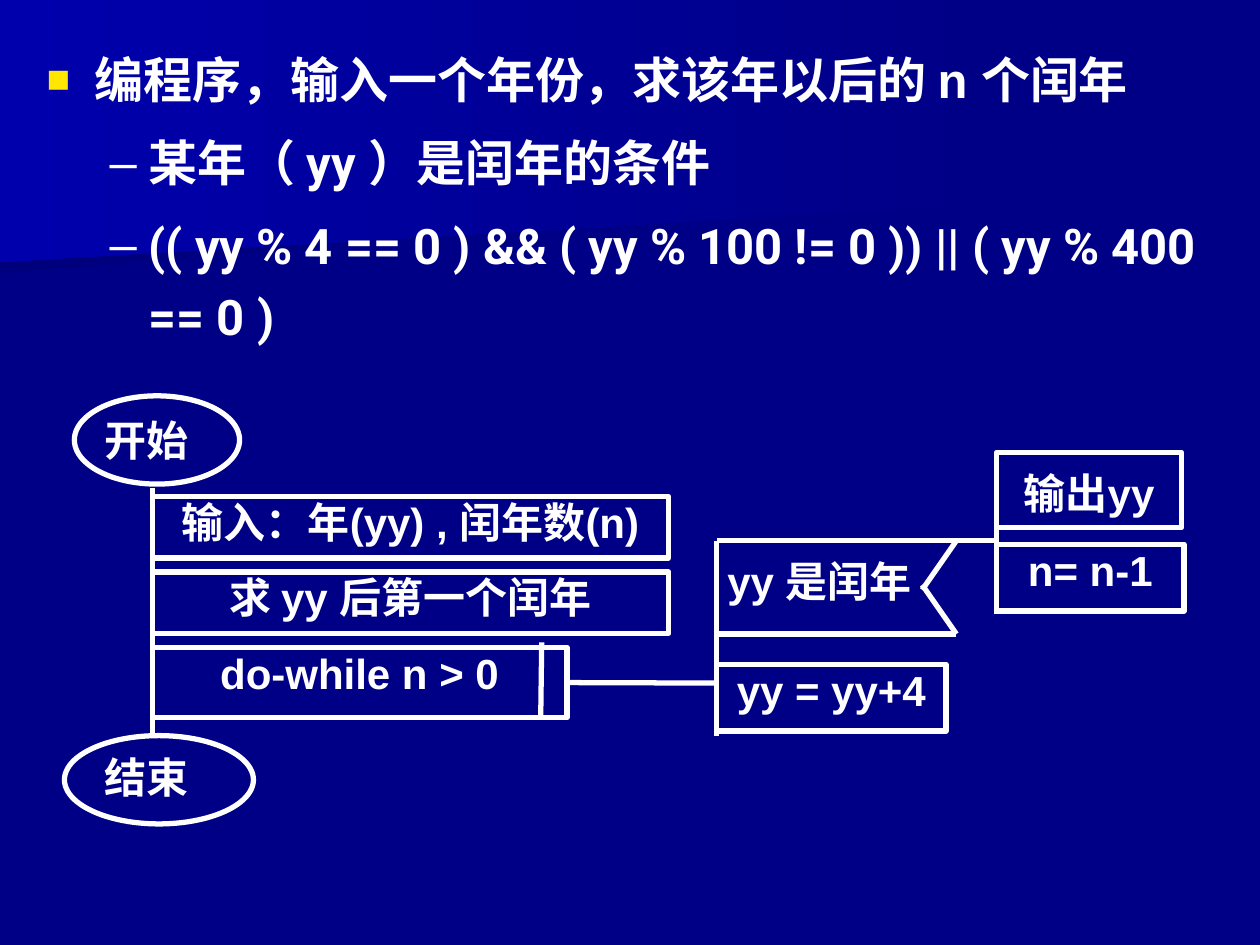
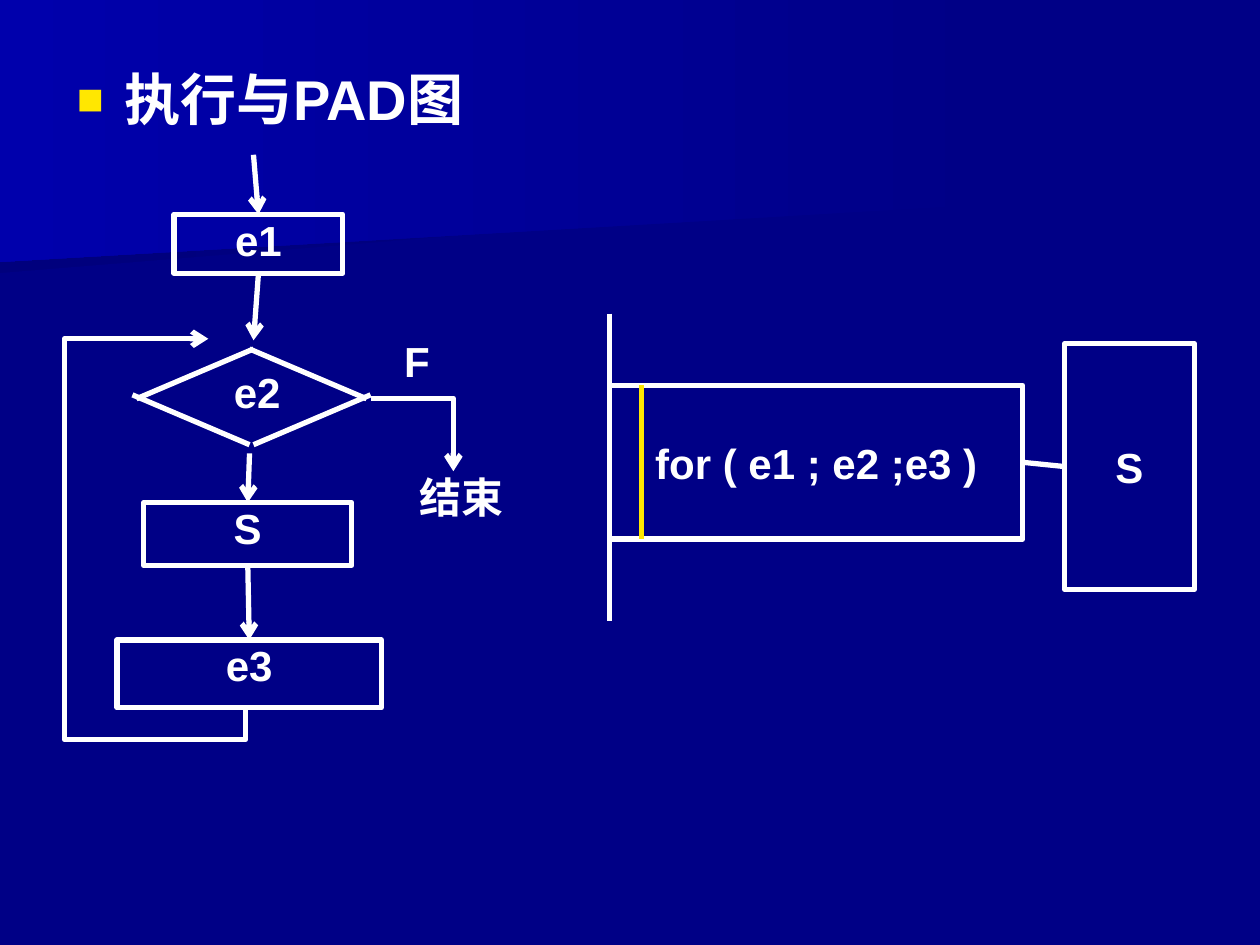
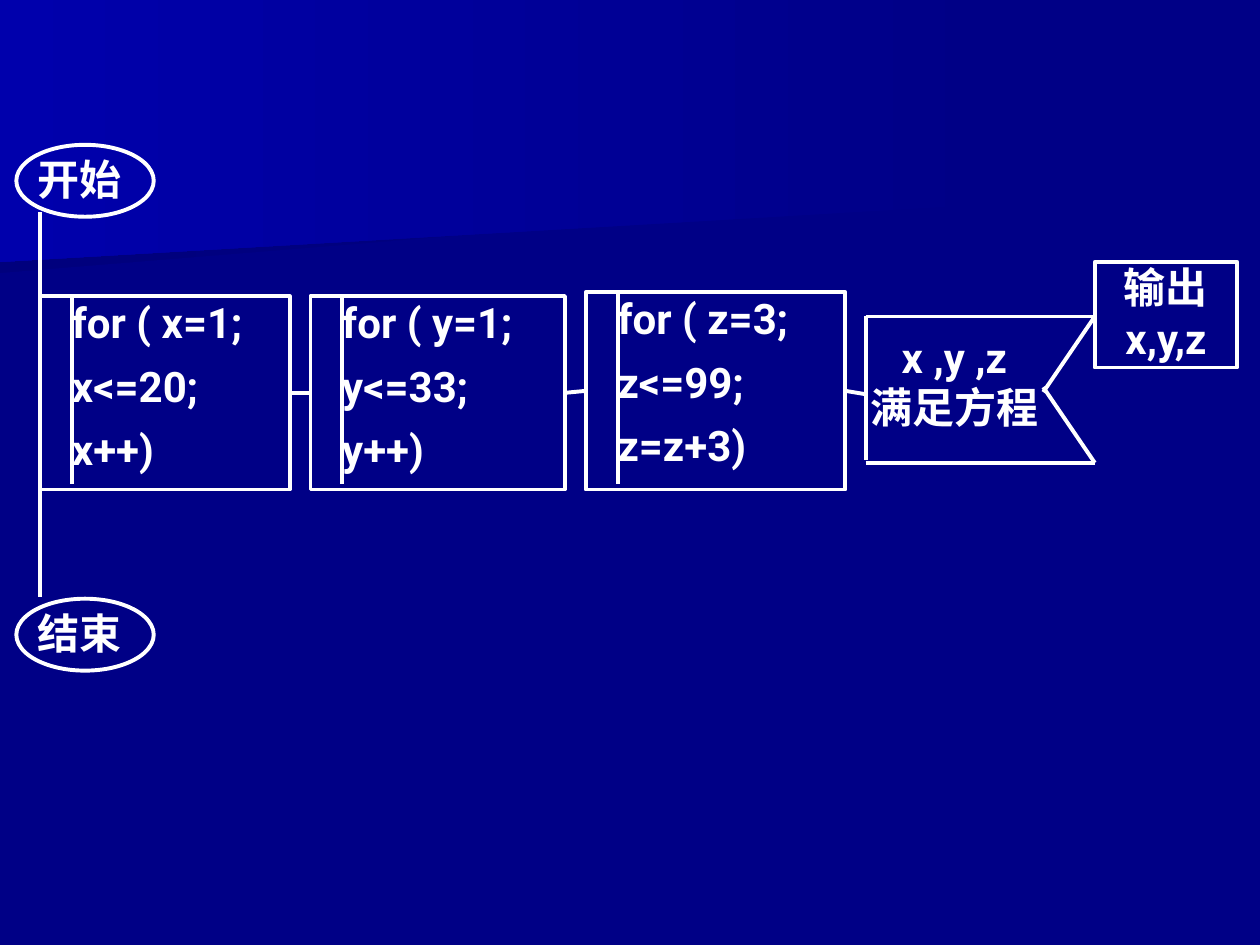
from lxml.etree import SubElement
from pptx import Presentation
from pptx.dml.color import RGBColor
from pptx.enum.shapes import MSO_CONNECTOR, MSO_SHAPE
from pptx.enum.text import MSO_ANCHOR, PP_ALIGN
from pptx.oxml.ns import qn
from pptx.util import Cm, Pt

HUE = {"back": "000086", "dark": "00007D", "glow": "0000AC",
       "white": "FFFFFF", "gold": "FFE701"}
LEFT, MID = PP_ALIGN.LEFT, MSO_ANCHOR.MIDDLE


def rgb(name):
    return RGBColor.from_string(HUE[name])


# Text
def bullet(par, sign, tone, size, left, hang):
    props = par._p.get_or_add_pPr()
    props.set("marL", str(Cm(left)))
    props.set("indent", str(-Cm(hang)))
    SubElement(SubElement(props, qn("a:buClr")), qn("a:srgbClr"), val=HUE[tone])
    SubElement(props, qn("a:buSzPct"), val=str(size * 1000))
    SubElement(props, qn("a:buFont"), typeface="Arial")
    SubElement(props, qn("a:buChar"), char=sign)


def write(shape, text, size=24, face="Arial", align=PP_ALIGN.CENTER,
          anchor=MSO_ANCHOR.TOP, pad=(0, 0, 0, 0), gap=0, lead=None,
          marks=None, faces=None):
    frame = shape.text_frame
    frame.word_wrap = True
    frame.vertical_anchor = anchor
    (frame.margin_left, frame.margin_top,
     frame.margin_right, frame.margin_bottom) = map(Cm, pad)
    for i, line in enumerate(text.split("\n")):
        par = frame.paragraphs[0] if i == 0 else frame.add_paragraph()
        par.alignment = align
        if lead:
            par.line_spacing = lead
        if i and gap:
            par.space_before = Pt(gap)
        if marks:
            bullet(par, *marks[i])
        run = par.add_run()
        run.text = line
        font = run.font
        font.size, font.bold = Pt(size), True
        font.name = faces[i] if faces else face
        font.color.rgb = rgb("white")


def label(s, text, x, y, w, h, **form):
    shape = s.shapes.add_textbox(Cm(x), Cm(y), Cm(w), Cm(h))
    write(shape, text, **form)


# Outlines and lines
def ink(line, width, tone="white", arrow=False):
    line.color.rgb = rgb(tone)
    line.width = Pt(width)
    if arrow:
        SubElement(line._get_or_add_ln(), qn("a:tailEnd"), type="arrow")


def box(s, text, x, y, w, h, width=3, kind=MSO_SHAPE.RECTANGLE, **form):
    shape = s.shapes.add_shape(kind, Cm(x), Cm(y), Cm(w), Cm(h))
    shape.shadow.inherit = False
    shape.fill.background()
    ink(shape.line, width)
    if text:
        write(shape, text, **form)
    return shape


def wire(s, x1, y1, x2, y2, width=3, tone="white", arrow=False,
         begin=None, end=None):
    link = s.shapes.add_connector(MSO_CONNECTOR.STRAIGHT,
                                  Cm(x1), Cm(y1), Cm(x2), Cm(y2))
    ink(link.line, width, tone, arrow)
    SubElement(link.element.spPr, qn("a:effectLst"))
    if begin:
        link.begin_connect(*begin)
    if end:
        link.end_connect(*end)


def trace(s, points, close=False):
    spots = [(Cm(x), Cm(y)) for x, y in points]
    maker = s.shapes.build_freeform(*spots[0])
    maker.add_line_segments(spots[1:], close=close)
    shape = maker.convert_to_shape()
    shape.shadow.inherit = False
    return shape


def route(s, points):
    shape = trace(s, points)
    shape.fill.background()
    ink(shape.line, 3, arrow=True)


# Shared backdrop, kept on the master
def backdrop(deck, s):
    master = deck.slide_master
    fill = master.background.fill
    fill.solid()
    fill.fore_color.rgb = rgb("back")
    bands = (
        ("dark", [(19.76, 3.89), (0, 5.5), (0, 2.57), (19.79, 2.57)]),
        ("glow", [(20.12, 4.11), (0, 5.28), (0, 0), (20.12, 0)]),
    )
    for tone, points in bands:
        band = trace(s, points, close=True)
        band.line.fill.background()
        band.fill.gradient()
        band.fill.gradient_angle = 180
        for stop, name in zip(band.fill.gradient_stops, ("back", tone)):
            stop.color.rgb = rgb(name)
        master.shapes.element.append(band.element)


# Parts used on more than one slide
def body(s, text, x, y, w, h, **form):
    first = ("■", "gold", 80, 0.97, 0.97)
    rest = ("–", "white", 100, 2.06, 0.79)
    marks = [first] + [rest] * text.count("\n")
    label(s, text, x, y, w, h, align=LEFT, pad=(0.25, 0.13, 0.25, 0.13),
          marks=marks, **form)


def cap(s, text, x, y, w, h, dx, dy, width=3, **form):
    box(s, None, x, y, w, h, width, MSO_SHAPE.OVAL)
    label(s, text, x + dx, y + dy, 2, 1, align=LEFT, **form)


def flag(s, text, x, y, w, h, notch, reach, stem, width=3, **form):
    tip, mid, slip = x + w - notch, y + h / 2, 0.05
    wire(s, x, y, x, y + stem, width)
    wire(s, x, y, x + reach, y, width)
    wire(s, x, y + h, x + w, y + h, width)
    wire(s, x + w, y, tip, mid + slip, width)
    wire(s, x + w, y + h, tip, mid - slip, width)
    label(s, text, x, y + 0.3, w - notch, h - 0.6, **form)


# Slide 1: leap years
def trunk(s, x, y):
    cap(s, "开始", x - 1.57, y, 3.33, 1.78, 0.61, 0.38)
    cap(s, "结束", x - 1.77, y + 6.85, 3.81, 1.78, 0.81, 0.33)
    wire(s, x, y + 1.85, x, y + 6.85)
    steps = (("输入：年(yy) , 闰年数(n)", 10.41, 1.24),
             ("求 yy 后第一个闰年", 10.41, 1.24),
             ("do-while n > 0", 8.36, 1.42))
    for i, (text, w, h) in enumerate(steps):
        last = box(s, text, x, y + 2.03 + 1.52 * i, w, h)
    wire(s, x + 7.85, y + 4.97, x + 7.83, y + 6.5)
    wire(s, x + 8.36, y + 5.78, x + 11.38, y + 5.79, begin=(last, 3))


def branch(s, x, y):
    flag(s, "yy 是闰年", x, y, 4.83, 1.88, 0.69, 5.67, 3.94)
    box(s, "yy = yy+4", x, y + 2.49, 4.62, 1.35)
    out = x + 5.64
    wire(s, out, y - 1.73, out, y + 1.47)
    box(s, "输出yy", out, y - 1.78, 3.73, 1.52, pad=(0, 0.3, 0, 0))
    box(s, "n= n-1", out, y + 0.07, 3.78, 1.35)


def leap(s):
    body(s, "编程序，输入一个年份，求该年以后的 n 个闰年\n"
            "某年（ yy ）是闰年的条件\n"
            "(( yy % 4 == 0 ) && ( yy % 100 != 0 )) || ( yy % 400 == 0 )",
         0.69, 0.64, 24.13, 12.5, size=28, gap=7, lead=1.2,
         faces=("Arial", "Roboto", "Roboto"))
    trunk(s, 3.07, 7.98)
    branch(s, 14.45, 10.9)


# Slide 2: the for loop
def rhomb(s, text, x, y, w, h):
    slip = 0.04
    for sx in (-1, 1):
        for sy in (-1, 1):
            wire(s, x + sx * sy * slip, y + sy * h / 2,
                 x + sx * (w / 2 + sy * slip), y - sy * slip)
    label(s, text, x - 1.03, y - 0.61, 2.29, 1.19)


def flow(s, x, y):
    init = box(s, "e1", x + 2.21, y + 1.2, 3.4, 1.19)
    rhomb(s, "e2", x + 3.77, y + 4.88, 4.72, 1.93)
    work = box(s, "S", x + 1.6, y + 7.01, 4.19, 1.27)
    step = box(s, "e3", x + 1.06, y + 9.78, 5.33, 1.37)
    wire(s, x + 3.81, y, x + 3.91, y + 1.2, arrow=True, end=(init, 0))
    wire(s, x + 3.91, y + 2.39, x + 3.81, y + 3.74, arrow=True,
         begin=(init, 2))
    wire(s, x + 3.73, y + 6.02, x + 3.7, y + 7.01, arrow=True, end=(work, 0))
    wire(s, x + 3.7, y + 8.28, x + 3.73, y + 9.78, arrow=True,
         begin=(work, 2), end=(step, 0))
    route(s, [(x + 3.65, y + 11.15), (x + 3.65, y + 11.79), (x, y + 11.79),
              (x, y + 3.71), (x + 2.9, y + 3.71)])
    route(s, [(x + 6.17, y + 4.91), (x + 7.84, y + 4.91),
              (x + 7.84, y + 6.38)])
    label(s, "F", x + 6.85, y + 3.64, 1.14, 1.12, align=LEFT)
    label(s, "结束", x + 7.01, y + 6.38, 1.98, 1.65)


def pad(s, x, y):
    loop = box(s, "for ( e1 ; e2 ;e3 )", x, y + 1.45, 8.33, 3.1, anchor=MID)
    wire(s, x + 0.64, y + 1.45, x + 0.64, y + 4.55, tone="gold")
    wire(s, x, y, x, y + 6.2)
    work = box(s, "S", x + 9.17, y + 0.61, 2.62, 4.95, anchor=MID)
    wire(s, x + 8.33, y + 3, x + 9.17, y + 3, begin=(loop, 3), end=(work, 1))


def cycle(s):
    body(s, "执行与PAD图", 1.3, 1.32, 22.86, 1.6, size=32, lead=0.9)
    flow(s, 1.3, 3.12)
    pad(s, 12.29, 6.32)


# Slide 3: nested loops
def nest(s, x, y, thin):
    loops = (("for ( x=1;\nx<=20;\nx++)", 5.03, 5.97),
             ("for ( y=1;\ny<=33;\ny++)", 5.13, 5.97),
             ("for ( z=3;\nz<=99;\nz=z+3)", 5.23, 5.89))
    last, space, bar = None, 0.42, 0.64
    for text, w, top in loops:
        top += y - 5.97
        cell = box(s, text, x, top, w, y + 3.9 - top, thin, face="Roboto",
                   align=LEFT, pad=(bar, 0, 0, 0), gap=7.7)
        wire(s, x + bar, top, x + bar, y + 3.78, thin)
        if last:
            wire(s, x - space, y + 1.95, x, y + 1.95, thin,
                 begin=(last, 3), end=(cell, 1))
        last = cell
        x += w + space
    wire(s, x - space, y + 1.95, x, y + 1.98, thin, begin=(last, 3))


def solve(s):
    thin, face = 2.25, "Roboto"
    wire(s, 0.81, 4.27, 0.81, 12.04, thin)
    for text, y in (("开始", 2.92), ("结束", 12.07)):
        cap(s, text, 0.33, y, 2.77, 1.45, 0.42, 0.18, thin, face=face)
    nest(s, 0.81, 5.97, thin)
    flag(s, "x ,y ,z\n满足方程", 17.45, 6.38, 4.62, 2.95, 1.04, 4.62, 2.9,
         thin, face=face)
    box(s, "输出x,y,z", 22.07, 5.28, 2.87, 2.13, thin, face=face)


def main():
    deck = Presentation()
    deck.slide_width, deck.slide_height = Cm(25.4), Cm(19.05)
    for i, draw in enumerate((leap, cycle, solve)):
        s = deck.slides.add_slide(deck.slide_layouts[6])
        if i == 0:
            backdrop(deck, s)
        draw(s)
    deck.save("out.pptx")


if __name__ == "__main__":
    main()
